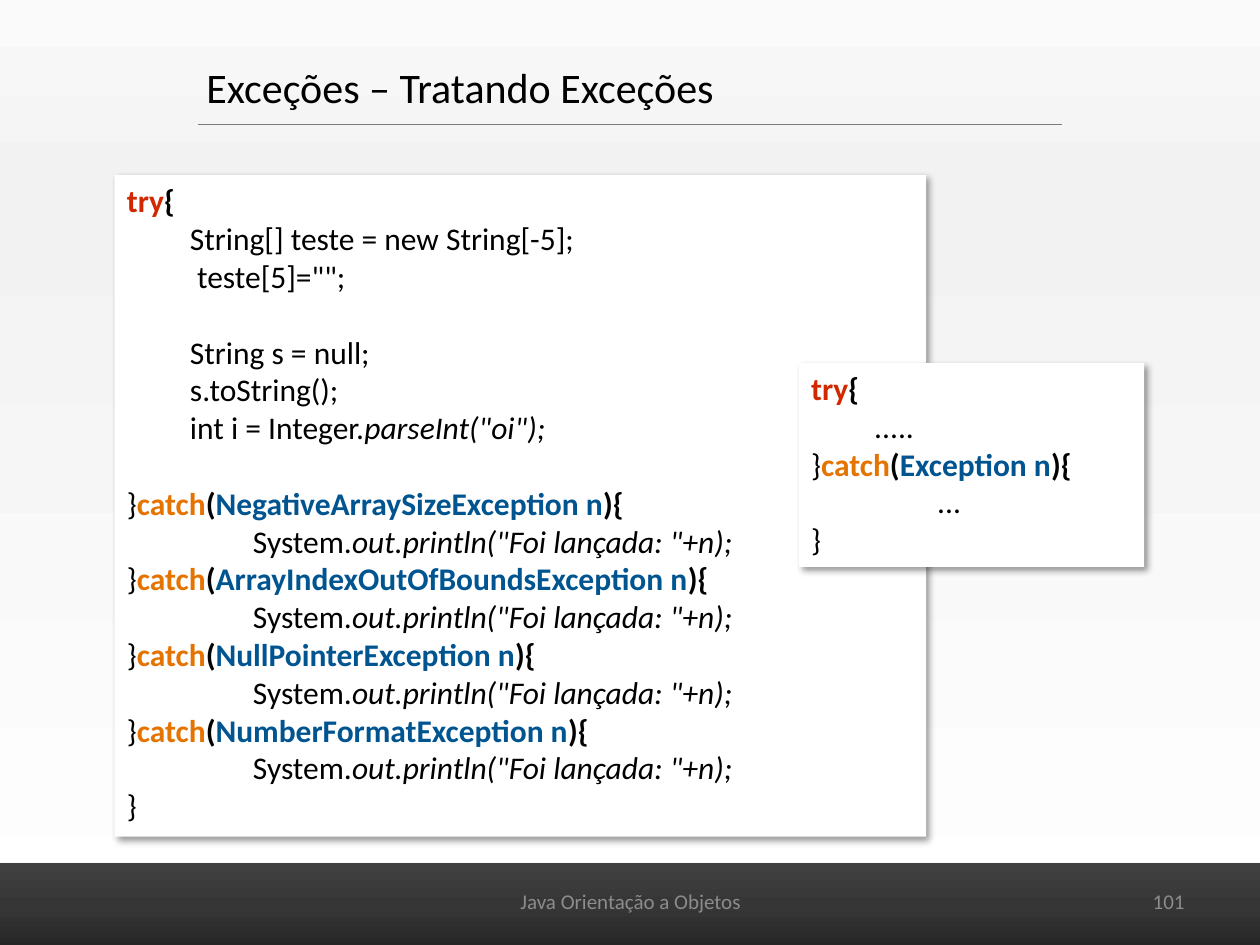
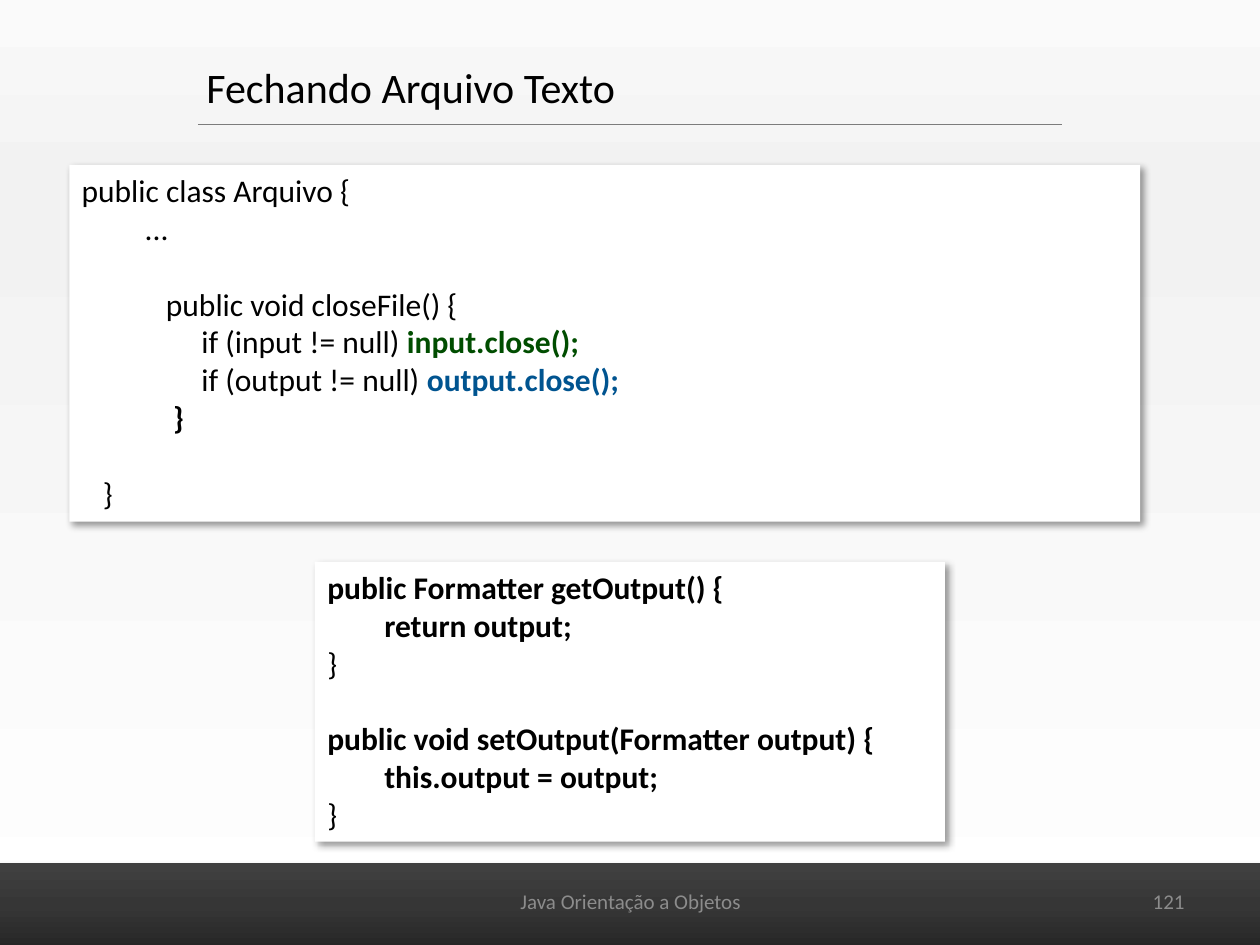
"""Builds two Java course slides with code cards."""
from lxml.etree import SubElement as Sub
from pptx import Presentation
from pptx.dml.color import RGBColor as Rgb
from pptx.enum.shapes import MSO_CONNECTOR as Conn, MSO_SHAPE as Shape
from pptx.enum.text import MSO_ANCHOR as Anchor, PP_ALIGN as Align
from pptx.oxml.ns import qn
from pptx.util import Inches, Pt

FONT = "Calibri"
BLACK, GREY, RULE, WHITE = "000000", "8C8C8C", "7C7C7C", "FFFFFF"
PAGE = [(0, "FAFAFA"), (20, "F2F2F2"), (100, WHITE)]
BAND = [(0, "262626"), (50, "363636"), (100, "404040")]
COURSE = "Java Orientação a Objetos"
BLANK = 21.6

LOOKS = {
    "plain": {},
    "bold": {"bold": True},
    "slant": {"italic": True},
    "try": {"bold": True, "color": "D22800"},
    "catch": {"bold": True, "color": "E57300"},
    "blue": {"bold": True, "color": "005490"},
    "green": {"bold": True, "color": "004D00"},
}


def rgb(code):
    return Rgb.from_string(code)


def line(*runs, tab=0, gap=0):
    """Each run is plain text or a pair of text and look."""
    pairs = [(run, "plain") if isinstance(run, str) else run for run in runs]
    return pairs, tab, gap


def catch(name, gap=0):
    return line("}", ("catch", "catch"), ("(", "bold"), (name + " n", "blue"),
                ("){", "bold"), gap=gap)


def start():
    return line(("try", "try"), ("{", "bold"))


def write(frame, lines, size=18, color=BLACK, align=Align.LEFT,
          anchor=Anchor.TOP, wrap=True):
    """Fill a text frame with formatted lines."""
    frame.word_wrap = wrap
    frame.vertical_anchor = anchor
    for at, (runs, tab, gap) in enumerate(lines):
        para = frame.add_paragraph() if at else frame.paragraphs[0]
        para.alignment = align
        if tab:
            props = para._p.get_or_add_pPr()
            props.set("marL", str(Inches(tab)))
            props.set("indent", "0")
        if gap:
            para.space_before = Pt(gap)
        for words, look in runs:
            style = LOOKS[look]
            run = para.add_run()
            run.text = words
            font = run.font
            font.name, font.size = FONT, Pt(size)
            font.bold = style.get("bold", False)
            font.italic = style.get("italic", False)
            font.color.rgb = rgb(style.get("color", color))


def blend(fill, root, stops, angle):
    """Give a fill a linear gradient with any number of stops."""
    fill.gradient()
    fill.gradient_angle = angle
    group = root.find(".//" + qn("a:gsLst"))
    for old in list(group):
        group.remove(old)
    for spot, code in stops:
        stop = Sub(group, qn("a:gs"), pos=str(spot * 1000))
        Sub(stop, qn("a:srgbClr"), val=code)


def shade(shape, alpha, blur, dist, angle):
    """Give a shape an outer shadow."""
    shape.shadow.inherit = False
    effect = shape._element.spPr.find(qn("a:effectLst"))
    outer = Sub(effect, qn("a:outerShdw"), blurRad=str(Pt(blur)),
                dist=str(Pt(dist)), dir=str(angle * 60000), algn="tl",
                rotWithShape="0")
    tint = Sub(outer, qn("a:srgbClr"), val=BLACK)
    Sub(tint, qn("a:alpha"), val=str(alpha * 1000))


class Deck:
    """Holds the grid of 100 columns by 75 rows and the current slide."""

    def __init__(self):
        self.show = Presentation()
        self.show.slide_width = Inches(10)
        self.show.slide_height = Inches(7.5)
        self.col = self.show.slide_width / 100
        self.row = self.show.slide_height / 75

    def grid(self, *cells):
        units = (self.col, self.row) * 2
        return [round(cell * unit) for cell, unit in zip(cells, units)]

    def page(self, title, number):
        self.slide = self.show.slides.add_slide(self.show.slide_layouts[6])
        blend(self.slide.background.fill, self.slide._element, PAGE, 270)
        self.band()
        self.rule()
        self.text(title, 15.4, 4.4, 42.7, 5, size=24, wrap=False)
        foot = {"size": 12, "color": GREY, "anchor": Anchor.MIDDLE}
        self.text(str(number), 71.7, 69.5, 23.3, 4, align=Align.RIGHT, **foot)
        self.text(COURSE, 34.2, 69.5, 31.7, 4, align=Align.CENTER, **foot)

    def box(self, *cells):
        box = self.slide.shapes.add_shape(Shape.RECTANGLE, *self.grid(*cells))
        box.line.fill.background()
        return box

    def band(self):
        band = self.box(-1.2, 68.5, 102.4, 6.8)
        blend(band.fill, band._element, BAND, 90)
        shade(band, 35, 3.1, 1.8, 90)

    def rule(self):
        rule = self.slide.shapes.add_connector(
            Conn.STRAIGHT, *self.grid(15.7, 9.9, 84.3, 9.9))
        rule.line.color.rgb = rgb(RULE)
        rule.line.width = Pt(0.75)
        Sub(rule._element.spPr, qn("a:effectLst"))

    def text(self, words, *cells, **form):
        box = self.slide.shapes.add_textbox(*self.grid(*cells))
        write(box.text_frame, [line(words)], **form)

    def card(self, lines, *cells):
        card = self.box(*cells)
        card.fill.solid()
        card.fill.fore_color.rgb = rgb(WHITE)
        shade(card, 40, 4, 3, 45)
        write(card.text_frame, lines)


def main():
    deck = Deck()

    deck.page("Exceções – Tratando Exceções", 101)
    code = [
        start(),
        line("String[] teste = new String[-5];", tab=0.5),
        line(' teste[5]="";', tab=0.5),
        line("String s = null;", tab=0.5, gap=BLANK),
        line("s.toString();", tab=0.5),
        line("int i = Integer.", ('parseInt("oi");', "slant"), tab=0.5),
    ]
    errors = ["NegativeArraySize", "ArrayIndexOutOfBounds", "NullPointer",
              "NumberFormat"]
    for at, error in enumerate(errors):
        code += [
            catch(error + "Exception", gap=0 if at else BLANK),
            line("System.", ('out.println("Foi lançada: "+n);', "slant"),
                 tab=1),
        ]
    deck.card(code + [line("}")], 9.1, 13.9, 64.4, 52.5)
    deck.card([start(), line(".....", tab=0.5), catch("Exception"),
               line("...", tab=1), line("}")], 63.4, 28.8, 27.4, 16.2)

    deck.page("Fechando Arquivo Texto", 121)
    deck.card([
        line("public class Arquivo {"),
        line("...", tab=0.5),
        line("   public void closeFile() {", tab=0.5, gap=BLANK),
        line("        if (input != null) ", ("input.close();", "green"),
             tab=0.5),
        line("        if (output != null) ", ("output.close();", "blue"),
             tab=0.5),
        line(("    }", "bold"), tab=0.5),
        line("   }", gap=BLANK),
    ], 5.5, 13.1, 85, 28.3)
    deck.card([
        line(("public Formatter getOutput() {", "bold")),
        line("        ", ("return output;", "bold")),
        line("}"),
        line(("public void setOutput(Formatter output) {", "bold"), gap=BLANK),
        line("        ", ("this.output = output;", "bold")),
        line("}"),
    ], 25, 44.6, 50, 22.2)

    deck.show.save("out.pptx")


if __name__ == "__main__":
    main()
